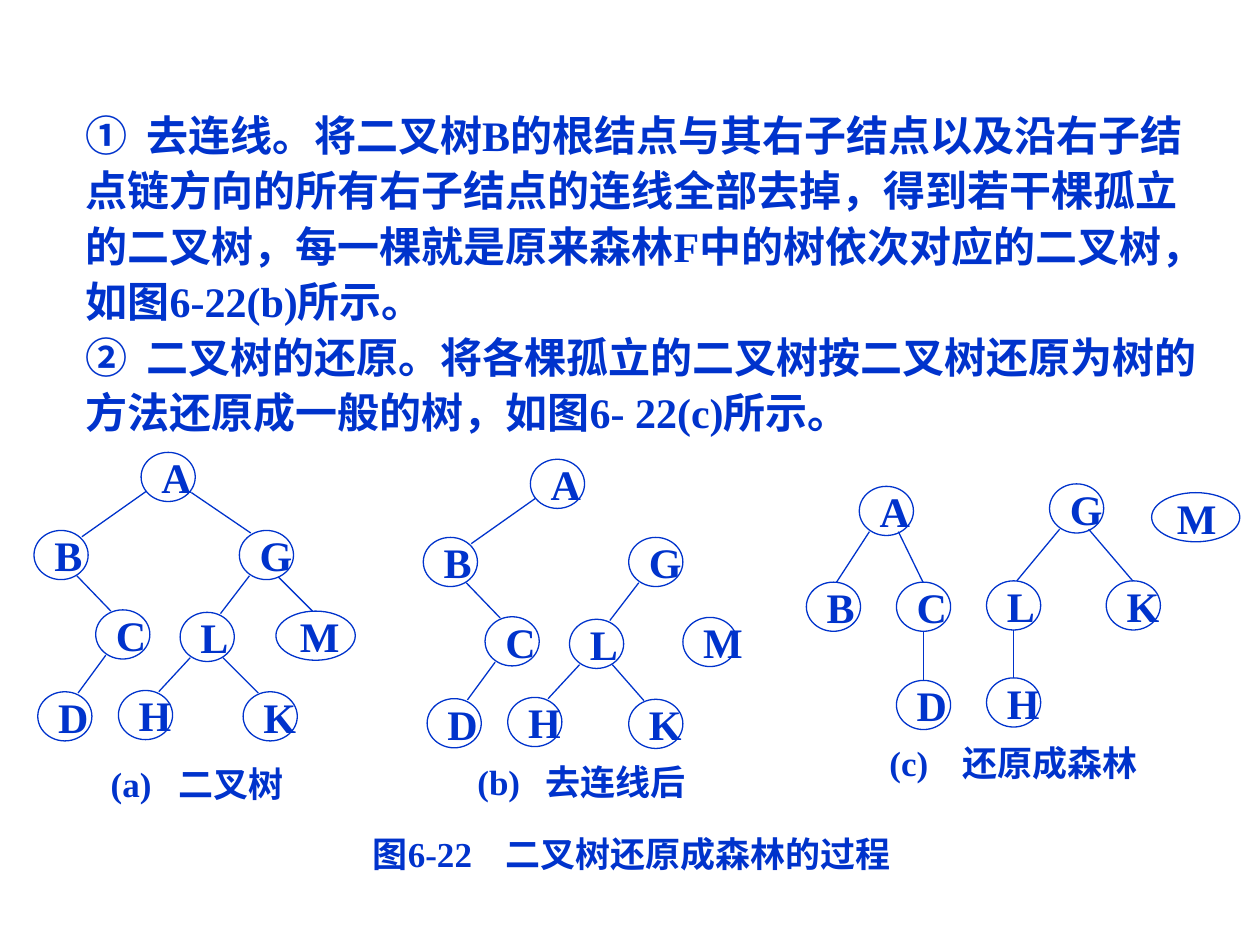
from lxml.etree import SubElement
from pptx import Presentation
from pptx.dml.color import RGBColor
from pptx.enum.shapes import MSO_CONNECTOR, MSO_SHAPE
from pptx.enum.text import MSO_ANCHOR, PP_ALIGN
from pptx.oxml.ns import qn
from pptx.util import Inches, Pt

COLOURS = {"ink": "0033CC", "paper": "FFFFFF"}
LATIN, HAN = "Times New Roman", "Noto Sans CJK SC"
COLUMNS, ROWS = 100, 75
NODE_WIDTH, NODE_HEIGHT = 4.3, 3.9

# Where an edge leaves its parent and meets its child, from each node's corner
EDGES = {
    "left": ((0.8, 3.6), (3.2, 0.1)),
    "right": ((3.4, 3.6), (1.2, 0.1)),
    "wide left": ((0.4, 3.1), (3.8, 0.5)),
    "wide right": ((4.0, 3.2), (0.9, 0.2)),
    "right to oval": ((3.1, 3.7), (2.9, 0)),
    "steep left": ((0.8, 3.6), (2.4, 0)),
    "steep right": ((3.1, 3.6), (2.1, 0)),
    "down": ((2.15, 3.9), (2.15, 0)),
}


class Page:
    """The current slide with its grid, fonts and colours."""

    def __init__(self, deck):
        self.column = deck.slide_width / COLUMNS
        self.row = deck.slide_height / ROWS
        self.slide = deck.slides.add_slide(deck.slide_layouts[6])
        fill = self.slide.background.fill
        fill.solid()
        fill.fore_color.rgb = self.colour("paper")

    def colour(self, name):
        return RGBColor.from_string(COLOURS[name])

    def place(self, *lengths):
        steps = (self.column, self.row)
        return [round(length * steps[i % 2]) for i, length in enumerate(lengths)]

    def outline(self, shape):
        shape.line.color.rgb = self.colour("ink")
        shape.line.width = Pt(0.75)

    def frame(self, shape, **values):
        for name, value in values.items():
            setattr(shape.text_frame, name, value)
        return shape.text_frame

    def span(self, para, text, size, font=LATIN):
        span = para.add_run()
        span.text = text
        values = {"name": font, "size": Pt(size), "bold": True}
        for name, value in values.items():
            setattr(span.font, name, value)
        span.font.color.rgb = self.colour("ink")
        SubElement(span.font._element, qn("a:ea"), typeface=HAN)

    def tab_stop(self, para, inches):
        settings = para._p.get_or_add_pPr()
        settings.set("hangingPunct", "0")
        stops = SubElement(settings, qn("a:tabLst"))
        SubElement(stops, qn("a:tab"), pos=str(Inches(inches)), algn="l")

    def body(self, box, paragraphs, tab):
        shape = self.slide.shapes.add_textbox(*self.place(*box))
        frame = self.frame(shape, word_wrap=True, margin_left=Inches(0.68))
        for index, spans in enumerate(paragraphs):
            para = frame.add_paragraph() if index else frame.paragraphs[0]
            para.line_spacing = 1.1
            for text, font in spans:
                self.span(para, text, 24, font)
            self.tab_stop(para, tab)

    def caption(self, box, text, tab):
        shape = self.slide.shapes.add_textbox(*self.place(*box))
        frame = self.frame(shape, word_wrap=True, margin_right=0,
                           vertical_anchor=MSO_ANCHOR.MIDDLE)
        para = frame.paragraphs[0]
        self.span(para, text, 20)
        self.tab_stop(para, tab)

    def node(self, letter, left, top, width=NODE_WIDTH):
        box = self.place(left, top, width, NODE_HEIGHT)
        oval = self.slide.shapes.add_shape(MSO_SHAPE.OVAL, *box)
        oval.shadow.inherit = False
        oval.fill.background()
        self.outline(oval)
        frame = self.frame(oval, word_wrap=False, vertical_anchor=MSO_ANCHOR.MIDDLE)
        para = frame.paragraphs[0]
        para.alignment = PP_ALIGN.LEFT
        self.span(para, letter, 24)

    def edge(self, parent, child, kind):
        ends = [node[i] + shift[i]
                for node, shift in zip((parent, child), EDGES[kind]) for i in (0, 1)]
        line = self.slide.shapes.add_connector(MSO_CONNECTOR.STRAIGHT, *self.place(*ends))
        self.outline(line)
        SubElement(line._element.spPr, qn("a:effectLst"))

    def tree(self, nodes, edges):
        for parent, child, kind in edges:
            self.edge(nodes[parent], nodes[child], kind)
        for letter, position in nodes.items():
            self.node(letter, *position)


# Steps of the method
STEPS = [
    [("①\t去连线。将二叉树B的根结点与其右子结点以及沿右子结点链方向的所有右子结点的连线"
      "全部去掉，得到若干棵孤立的二叉树，每一棵就是原来森林F中的树依次对应的二叉树，", LATIN),
     ("如图", HAN), ("6-22(b)所示", LATIN), ("。", HAN)],
    [("②\t二叉树的还原。将各棵孤立的二叉树按二叉树还原为树的方法还原成一般的树，", LATIN),
     ("如图", HAN), ("6- 22(c)所示", LATIN), ("。", HAN)],
]

# Binary tree (a), and (b) the same tree moved, with the right chain cut
BINARY = {"A": (11.2, 35.9), "B": (2.7, 42.1), "C": (7.6, 48.4), "D": (3, 54.9),
          "G": (19, 42.1), "L": (14.3, 48.6), "H": (9.4, 54.8), "K": (19.3, 54.9),
          "M": (21.9, 48.5, 6.3)}
KEPT_EDGES = [("A", "B", "wide left"), ("B", "C", "right"), ("C", "D", "left"),
              ("G", "L", "left"), ("L", "H", "left"), ("L", "K", "right")]
CUT_EDGES = [("A", "G", "wide right"), ("G", "M", "right to oval")]
SEPARATED = {letter: (x + 30.9, y + 0.55) for letter, (x, y, *_) in BINARY.items()}
SEPARATED.update({"K": (49.9, 55.5), "M": (54.2, 49)})

# Forest (c)
FOREST = {"A": (68.2, 38.6), "B": (64, 46.2), "C": (71.15, 46.2), "D": (71.15, 54),
          "G": (83.3, 38.4), "L": (78.3, 46.1), "H": (78.3, 53.8), "K": (87.8, 46.1),
          "M": (91.4, 39.1, 7)}
FOREST_EDGES = [("A", "B", "steep left"), ("A", "C", "steep right"), ("C", "D", "down"),
                ("G", "L", "steep left"), ("G", "K", "steep right"), ("L", "H", "down")]

# Captions: box, text, tab stop in inches
CAPTIONS = [
    ((7.8, 60.2, 15.7, 3.9), "(a)\t二叉树", 0.54),
    ((36.9, 60.1, 18.8, 3.9), "(b)\t去连线后", 0.54),
    ((69.6, 58.6, 22.5, 3.9), "(c)\t还原成森林", 0.58),
    ((28.6, 65.8, 43.2, 3.9), "图6-22\t二叉树还原成森林的过程", 1.05),
]


def main():
    deck = Presentation()
    deck.slide_width, deck.slide_height = Inches(10), Inches(7.5)
    page = Page(deck)
    page.body((0, 7.8, 96.7, 28), STEPS, 0.48)
    page.tree(BINARY, KEPT_EDGES + CUT_EDGES)
    page.tree(SEPARATED, KEPT_EDGES)
    page.tree(FOREST, FOREST_EDGES)
    for caption in CAPTIONS:
        page.caption(*caption)
    deck.save("out.pptx")


if __name__ == "__main__":
    main()
